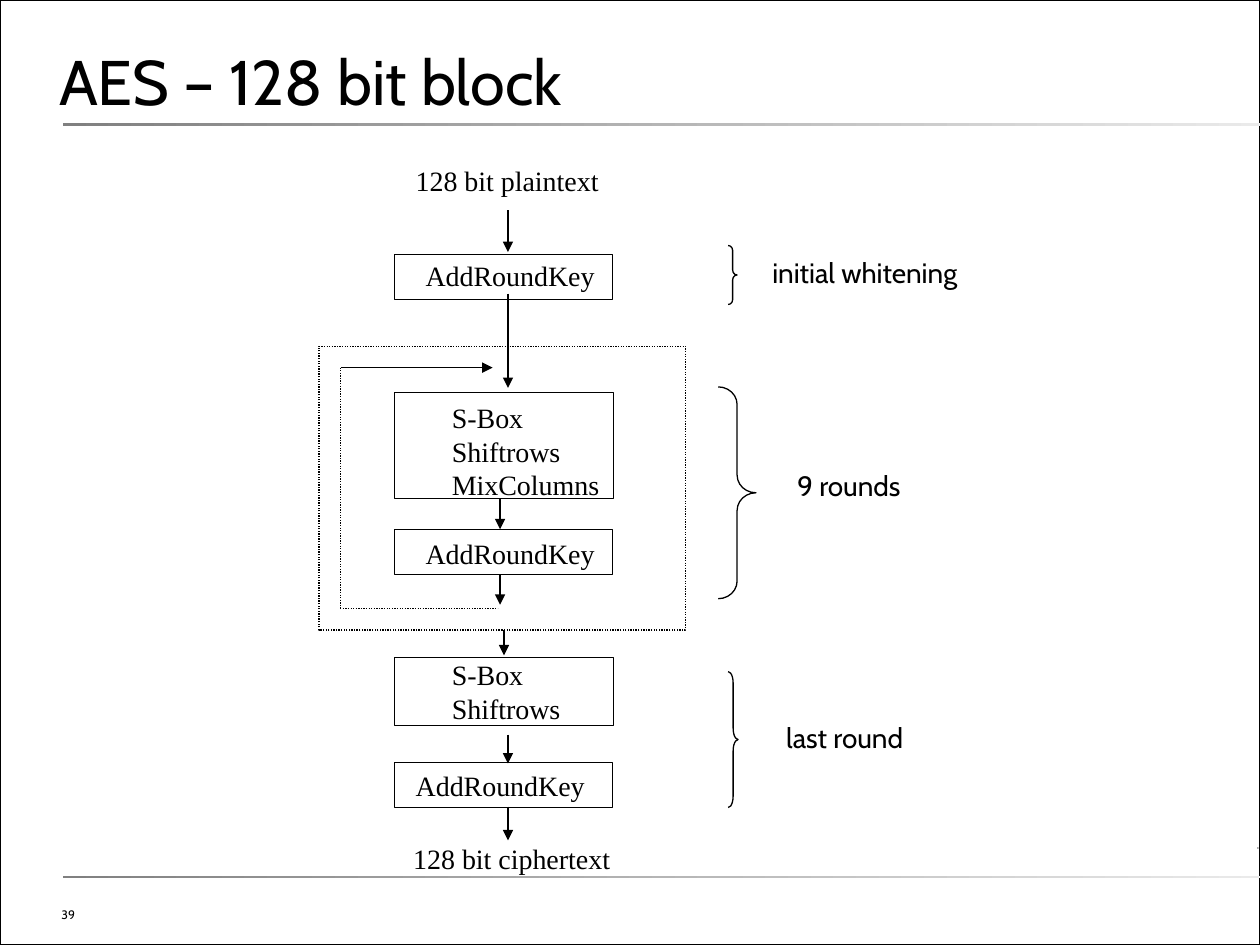
"""Build a slide that charts the rounds of AES on a 128 bit block."""
from typing import NamedTuple, Optional

from lxml import etree
from pptx import Presentation
from pptx import util as u
from pptx.dml.color import RGBColor
from pptx.enum import dml, shapes, text
from pptx.oxml import ns

BLACK = RGBColor(0, 0, 0)
WHITE = RGBColor(255, 255, 255)
GREY = RGBColor(0x80, 0x80, 0x80)
PALE = RGBColor(0xEA, 0xEA, 0xEA)
SANS = "Cabin"
SERIF = "Times New Roman"
WIDE, HIGH = 25.4, 19.05
DOTS = dml.MSO_LINE.ROUND_DOT
KIND = shapes.MSO_SHAPE


class Box(NamedTuple):
    left: float
    top: float
    width: float
    height: float
    dash: Optional[dml.MSO_LINE] = None


class Label(NamedTuple):
    words: str
    left: float
    top: float
    width: float
    height: float = 0.94
    font: str = SERIF


class Link(NamedTuple):
    x1: float
    y1: float
    x2: float
    y2: float
    head: bool = True
    dash: Optional[dml.MSO_LINE] = None


RULES = [Box(1.27, 2.49, 24.21, 0.05), Box(1.27, 17.65, 24.21, 0.05),
         Box(25.35, 17.07, 0.03, 0.05)]
KEYS = [Box(7.95, top, 4.4, 0.91) for top in (5.13, 10.67, 15.37)]
STEPS = [Box(7.95, 7.92, 4.42, 2.13), Box(7.95, 13.26, 4.42, 1.37)]
LOOP = Box(6.43, 6.98, 7.39, 5.72, DOTS)
BRACES = [Box(14.68, 4.95, 0.18, 1.19), Box(14.48, 7.8, 0.76, 4.27),
          Box(14.68, 13.54, 0.2, 2.74)]
LABELS = [
    Label("128 bit plaintext", 8.13, 3.18, 4.19),
    Label("AddRoundKey", 8.33, 5.08, 3.91),
    Label("S-Box\nShiftrows\nMixColumns", 8.86, 7.95, 3.48, 2.29),
    Label("AddRoundKey", 8.33, 10.69, 3.91),
    Label("S-Box\nShiftrows", 8.86, 13.13, 2.69, 1.63),
    Label("AddRoundKey", 8.13, 15.37, 3.91),
    Label("128 bit ciphertext", 8.08, 16.84, 4.6),
    Label("initial whitening", 15.32, 5.03, 4.75, font=SANS),
    Label("9 rounds", 15.82, 9.32, 2.84, font=SANS),
    Label("last round", 15.6, 14.4, 3.2, font=SANS),
]
DROPS = [(10.24, 4.24, 5.08), (10.24, 5.92, 7.82), (10.08, 10.06, 10.67),
         (10.08, 11.58, 12.19), (10.16, 12.7, 13.21), (10.24, 14.81, 15.39),
         (10.24, 16.26, 16.94)]
LINKS = [Link(x, top, x, end) for x, top, end in DROPS] + [
    Link(6.87, 7.41, 9.93, 7.41),
    Link(6.86, 7.41, 6.86, 12.27, False, DOTS),
    Link(6.91, 12.27, 10.03, 12.27, False, DOTS),
]


def style(frame, font: str, size: float) -> None:
    for para in frame.paragraphs:
        para.alignment = text.PP_ALIGN.LEFT
        for run in para.runs:
            run.font.name = font
            run.font.size = u.Pt(size)
            run.font.color.rgb = BLACK


def draw_box(slide, box: Box, kind=KIND.RECTANGLE, weight: float = 0.75):
    shape = slide.shapes.add_shape(kind, *map(u.Cm, box[:4]))
    shape.shadow.inherit = False
    shape.fill.background()
    shape.line.color.rgb = BLACK
    shape.line.width = u.Pt(weight)
    if box.dash:
        shape.line.dash_style = box.dash
    return shape


def draw_rule(slide, box: Box) -> None:
    shape = draw_box(slide, box)
    shape.line.fill.background()
    shape.fill.gradient()
    shape.fill.gradient_angle = 0
    for stop, tone in zip(shape.fill.gradient_stops, (GREY, PALE)):
        stop.color.rgb = tone


def draw_brace(slide, box: Box) -> None:
    brace = draw_box(slide, box, KIND.RIGHT_BRACE)
    brace.adjustments[0] = box.height / 12 / box.width


def draw_label(slide, label: Label) -> None:
    frame = slide.shapes.add_textbox(*map(u.Cm, label[1:5])).text_frame
    frame.word_wrap = False
    frame.auto_size = text.MSO_AUTO_SIZE.SHAPE_TO_FIT_TEXT
    frame.text = label.words
    style(frame, label.font, 16)


def draw_link(slide, link: Link) -> None:
    line = slide.shapes.add_connector(
        shapes.MSO_CONNECTOR.STRAIGHT, *map(u.Cm, link[:4]))
    line.line.color.rgb = BLACK
    line.line.width = u.Pt(0.75)
    if link.dash:
        line.line.dash_style = link.dash
    props = line._element.spPr
    if link.head:
        etree.SubElement(props.find(ns.qn("a:ln")), ns.qn("a:tailEnd"),
                         type="triangle")
    etree.SubElement(props, ns.qn("a:effectLst"))


def draw_title(slide, words: str) -> None:
    title = slide.shapes.title
    title.left, title.top = u.Cm(1.19), u.Cm(0.86)
    title.width, title.height = u.Cm(22.94), u.Cm(2.11)
    frame = title.text_frame
    frame.margin_left = frame.margin_right = 0
    frame.margin_top = frame.margin_bottom = 0
    frame.vertical_anchor = text.MSO_ANCHOR.MIDDLE
    frame.auto_size = text.MSO_AUTO_SIZE.NONE
    frame.text = words
    frame.paragraphs[0].line_spacing = u.Pt(26)
    style(frame, SANS, 36)


def draw_page(slide, words: str) -> None:
    area = Box(0.99, 18.14, 8.86, 0.58)
    frame = slide.shapes.add_textbox(*map(u.Cm, area[:4])).text_frame
    frame.word_wrap = True
    frame.vertical_anchor = text.MSO_ANCHOR.BOTTOM
    frame.text = words
    style(frame, SANS, 7)


def main() -> None:
    deck = Presentation()
    deck.slide_width, deck.slide_height = u.Cm(WIDE), u.Cm(HIGH)
    slide = deck.slides.add_slide(deck.slide_layouts[5])
    slide.background.fill.solid()
    slide.background.fill.fore_color.rgb = WHITE
    draw_box(slide, Box(0, 0, WIDE, HIGH), weight=1)
    for rule in RULES:
        draw_rule(slide, rule)
    for box in [*KEYS, *STEPS, LOOP]:
        draw_box(slide, box)
    for brace in BRACES:
        draw_brace(slide, brace)
    for link in LINKS:
        draw_link(slide, link)
    for label in LABELS:
        draw_label(slide, label)
    draw_title(slide, "AES – 128 bit block")
    draw_page(slide, "39")
    deck.save("out.pptx")


if __name__ == "__main__":
    main()
